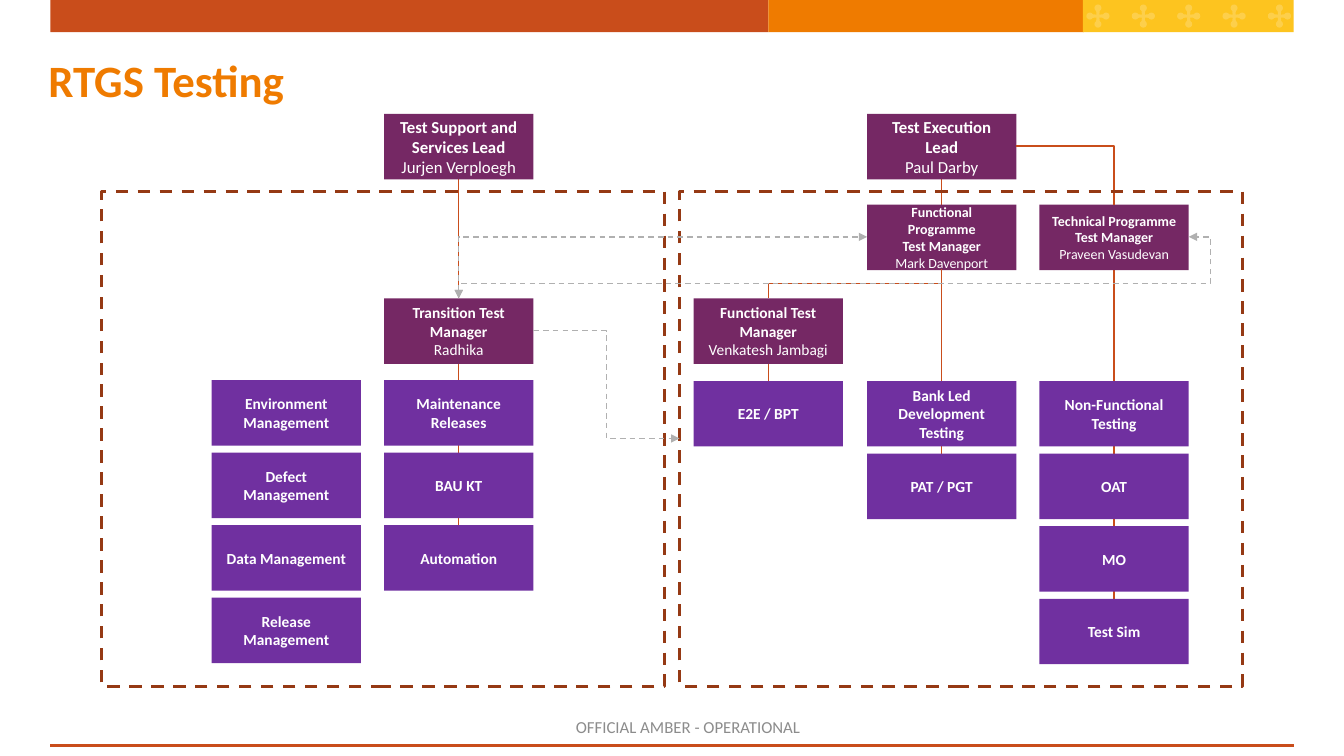
"""Build the RTGS Testing organisation chart slide."""
from math import cos, sin, radians
from lxml import etree
from pptx import Presentation
from pptx.dml.color import RGBColor
from pptx.enum.dml import MSO_LINE
from pptx.enum.shapes import MSO_CONNECTOR, MSO_SHAPE
from pptx.enum.text import MSO_ANCHOR, MSO_AUTO_SIZE, PP_ALIGN
from pptx.oxml.ns import qn
from pptx.util import Inches, Pt

RECT = MSO_SHAPE.RECTANGLE
STRAIGHT, ELBOW = MSO_CONNECTOR.STRAIGHT, MSO_CONNECTOR.ELBOW
DASH = MSO_LINE.DASH
LEFT, CENTER = PP_ALIGN.LEFT, PP_ALIGN.CENTER
MIDDLE = MSO_ANCHOR.MIDDLE

FONT = "Calibri"
RUST, ORANGE, YELLOW, BROWN = "C94D1B", "EF7B00", "FDC41F", "953914"
PLUM, PURPLE, GREY, FOOTER, WHITE = "752864", "7030A0", "B0B0B0", "8C8C8C", "FFFFFF"

TITLE = "RTGS Testing"
MARKING = "OFFICIAL AMBER - OPERATIONAL"
BANDS = [(0.5, 7.12, RUST), (7.62, 3.13, ORANGE), (10.74, 2.09, YELLOW)]
FRAMES = [1.01, 6.74]

LEADS = [
    ("support", 3.81, 1.13, 12, ["Test Support and Services Lead"], "Jurjen Verploegh"),
    ("execution", 8.6, 1.13, 12, ["Test Execution Lead"], "Paul Darby"),
    ("programme", 8.6, 2.03, 10, ["Functional Programme", "Test Manager"], "Mark Davenport"),
    ("technical", 10.31, 2.03, 10, ["Technical Programme Test Manager"], "Praveen Vasudevan"),
    ("transition", 3.81, 2.96, 11, ["Transition Test Manager"], "Radhika"),
    ("functional", 6.88, 2.96, 11, ["Functional Test Manager"], "Venkatesh Jambagi"),
]
TEAMS = [
    (2.1, 3.77, ["Environment Management", "Defect Management",
                 "Data Management", "Release Management"]),
    (3.81, 3.77, ["Maintenance Releases", "BAU KT", "Automation"]),
    (6.88, 3.78, ["E2E / BPT"]),
    (8.6, 3.78, ["Bank Led\nDevelopment Testing", "PAT / PGT"]),
    (10.31, 3.78, ["Non-Functional Testing", "OAT", "MO", "Test Sim"]),
]
LINKS = [
    ("support", "transition"), ("transition", "Automation"),
    ("execution", "programme"), ("programme", "PAT / PGT"),
    ("technical", "Test Sim"), ("functional", "E2E / BPT"),
]
BOX_W, BOX_H, ROW_STEP = 1.48, 0.65, 0.72
BOTTOM, TOP = 2, 0

prs = Presentation()
prs.slide_width, prs.slide_height = Inches(13.33), Inches(7.5)
slide = prs.slides.add_slide(prs.slide_layouts[5])
shapes = slide.shapes


def rgb(color):
    return RGBColor.from_string(color)


def write(tf, lines, size=11, color=WHITE, bold=True, align=CENTER, plain_last=False):
    tf.word_wrap, tf.vertical_anchor = True, MIDDLE
    for i, line in enumerate(lines):
        p = tf.add_paragraph() if i else tf.paragraphs[0]
        p.alignment = align
        r = p.add_run()
        r.text = line
        r.font.name, r.font.size, r.font.color.rgb = FONT, Pt(size), rgb(color)
        r.font.bold = bold and not (plain_last and i == len(lines) - 1)


def paint(sp, fill=None):
    sp.shadow.inherit = False
    sp.line.fill.background()
    if fill:
        sp.fill.solid()
        sp.fill.fore_color.rgb = rgb(fill)
    else:
        sp.fill.background()
    return sp


def rect(x, y, w, h, fill=None):
    return paint(shapes.add_shape(RECT, Inches(x), Inches(y), Inches(w), Inches(h)), fill)


def connect(kind, x1, y1, x2, y2, color=RUST, width=1, dash=False, arrows=()):
    c = shapes.add_connector(kind, Inches(x1), Inches(y1), Inches(x2), Inches(y2))
    c.line.color.rgb, c.line.width = rgb(color), Pt(width)
    if dash:
        c.line.dash_style = DASH
    for end in arrows:
        etree.SubElement(c.line._get_or_add_ln(), qn(f"a:{end}"), type="triangle")
    etree.SubElement(c.element.spPr, qn("a:effectLst"))
    return c


def elbow(x1, y1, x2, y2, bends=3, adjust=(), vertical=False, **style):
    if vertical:
        cx, cy, dx, dy = (x1 + x2) / 2, (y1 + y2) / 2, (x2 - x1) / 2, (y2 - y1) / 2
        x1, y1, x2, y2 = cx - dy, cy + dx, cx + dy, cy - dx
    c = connect(ELBOW, x1, y1, x2, y2, **style)
    if vertical:
        c.element.spPr.find(qn("a:xfrm")).set("rot", str(90 * 60000))
    geom = c.element.spPr.find(qn("a:prstGeom"))
    geom.set("prst", f"bentConnector{bends}")
    for i, value in enumerate(adjust, 1):
        etree.SubElement(geom.find(qn("a:avLst")), qn("a:gd"),
                         name=f"adj{i}", fmla=f"val {round(value * 100000)}")


def flower(cx, cy, reach=0.08, lobe=0.035, core=0.02):
    points = []
    for turn in range(0, 360, 90):
        a = radians(turn)
        for step in range(-150, 151, 30):
            b = radians(turn + step)
            points.append((cx + reach * cos(a) + lobe * cos(b),
                           cy + reach * sin(a) + lobe * sin(b)))
        a = radians(turn + 45)
        points.append((cx + core * cos(a), cy + core * sin(a)))
    points = [(Inches(x), Inches(y)) for x, y in points]
    fb = shapes.build_freeform(*points[0])
    fb.add_line_segments(points[1:], close=True)
    sp = paint(fb.convert_to_shape(), WHITE)
    color = sp.element.spPr.find(qn("a:solidFill"))[0]
    etree.SubElement(color, qn("a:alpha"), val="20000")


for x, w, fill in BANDS:
    rect(x, 0, w, 0.32, fill)
for i in range(5):
    flower(10.89 + 0.45 * i, 0.16)
connect(STRAIGHT, 0.5, 7.4, 12.83, 7.4, width=2.25)

title = shapes.title
title.left, title.top, title.width, title.height = map(Inches, (0.48, 0.29, 12.33, 1))
tf = title.text_frame
tf.auto_size = MSO_AUTO_SIZE.NONE
tf.margin_left = tf.margin_right = tf.margin_top = tf.margin_bottom = 0
write(tf, [TITLE], size=32, color=ORANGE, align=LEFT)

marking = shapes.add_textbox(Inches(3.49), Inches(7), Inches(6.67), Inches(0.42))
write(marking.text_frame, [MARKING], size=12, color=FOOTER, bold=False)

boxes = {}
for key, x, y, size, role, person in LEADS:
    boxes[key] = rect(x, y, BOX_W, BOX_H, PLUM)
    write(boxes[key].text_frame, role + [person], size=size, plain_last=True)
for x, y, names in TEAMS:
    for i, name in enumerate(names):
        boxes[name] = rect(x, y + ROW_STEP * i, BOX_W, BOX_H, PURPLE)
        write(boxes[name].text_frame, name.split("\n"))

for upper, lower in LINKS:
    c = connect(STRAIGHT, 0, 0, 1, 1)
    c.begin_connect(boxes[upper], BOTTOM)
    c.end_connect(boxes[lower], TOP)
    c.element.getparent().insert(2, c.element)
elbow(9.34, 2.67, 7.62, 2.96, vertical=True)
elbow(10.08, 1.45, 11.05, 2.03, bends=2)

for x in FRAMES:
    frame = rect(x, 1.9, 5.58, 4.91)
    frame.line.color.rgb, frame.line.width = rgb(BROWN), Pt(2.25)
    frame.line.dash_style = DASH

dashed = {"color": GREY, "dash": True}
both = ("headEnd", "tailEnd")
elbow(4.55, 2.96, 11.79, 2.35, bends=4, adjust=(0.24, 1.03), vertical=True,
      arrows=both, **dashed)
elbow(4.55, 2.96, 8.6, 2.35, bends=2, vertical=True, arrows=both, **dashed)
elbow(5.29, 3.28, 6.74, 4.35, arrows=("tailEnd",), **dashed)

prs.save("out.pptx")
